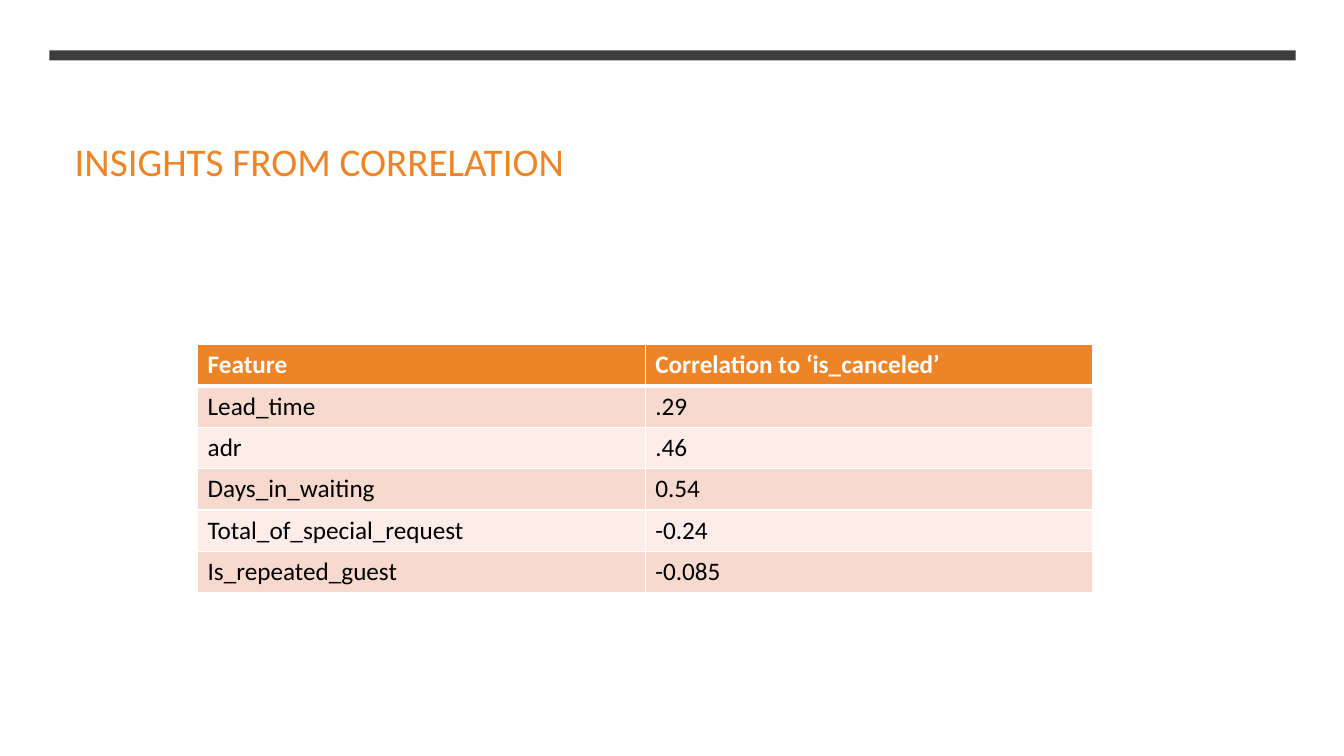
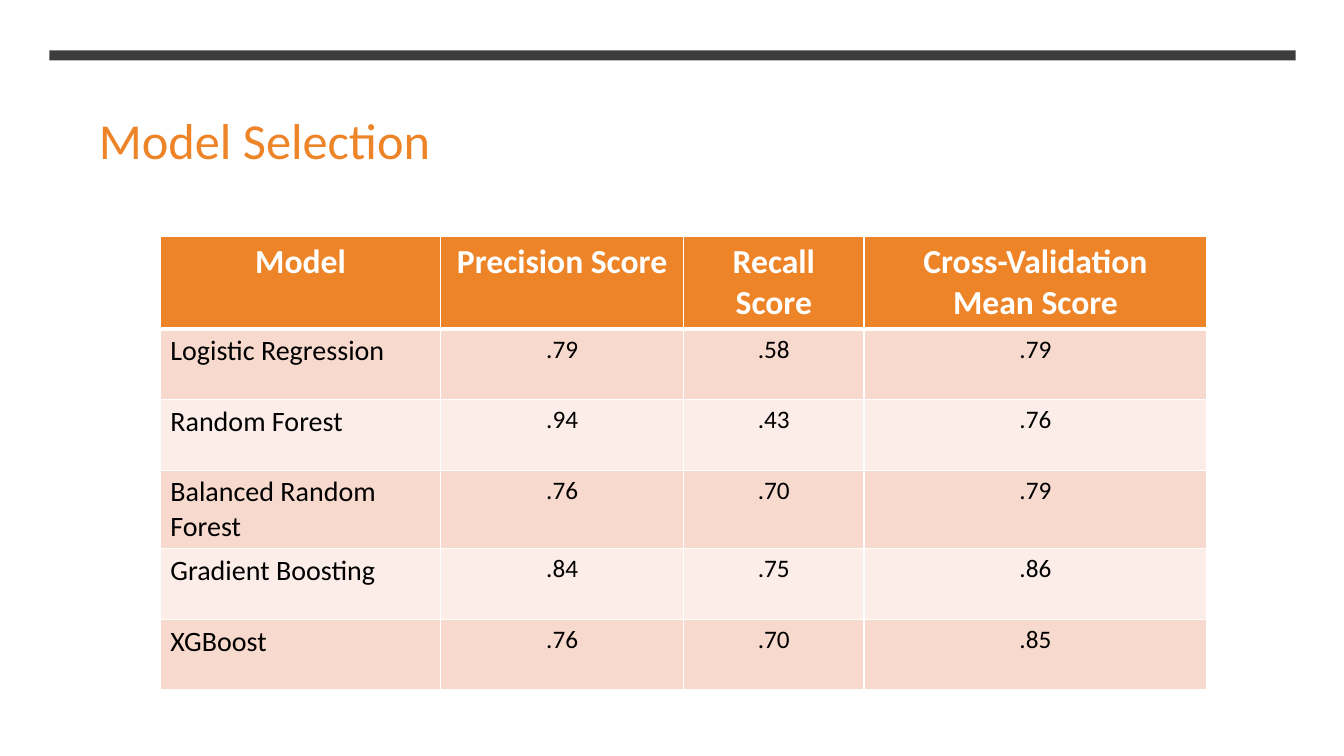
from dataclasses import dataclass

from lxml import etree
from pptx import Presentation
from pptx.dml.color import RGBColor
from pptx.enum.shapes import MSO_SHAPE
from pptx.enum.text import MSO_ANCHOR, MSO_AUTO_SIZE, PP_ALIGN
from pptx.oxml.ns import qn
from pptx.util import Emu, Pt

RECT = MSO_SHAPE.RECTANGLE
LEFT, CENTER = PP_ALIGN.LEFT, PP_ALIGN.CENTER
TOP, BOTTOM = MSO_ANCHOR.TOP, MSO_ANCHOR.BOTTOM
NO_AUTOFIT = MSO_AUTO_SIZE.NONE
TITLE_ONLY = 5
EMU_PER_PX = 9144


@dataclass(frozen=True)
class Theme:
    font: str = "Calibri"
    accent: str = "ED8428"
    band: str = "3D3D3D"
    white: str = "FFFFFF"
    text: str = "000000"
    stripes: tuple = ("F8D9CD", "FCEDE8")
    title: int = 28
    large_title: int = 36
    large_header: int = 24
    label: int = 20
    body: int = 18
    rule: int = 1
    header_rule: int = 3


THEME = Theme()

CORRELATIONS = [
    ("Feature", "Correlation to ‘is_canceled’"),
    ("Lead_time", ".29"),
    ("adr", ".46"),
    ("Days_in_waiting", "0.54"),
    ("Total_of_special_request", "-0.24"),
    ("Is_repeated_guest", "-0.085"),
]

MODEL_SCORES = [
    ("Model", "Precision Score", "Recall Score", "Cross-Validation\nMean Score"),
    ("Logistic Regression", ".79", ".58", ".79"),
    ("Random Forest", ".94", ".43", ".76"),
    ("Balanced Random Forest", ".76", ".70", ".79"),
    ("Gradient Boosting", ".84", ".75", ".86"),
    ("XGBoost", ".76", ".70", ".85"),
]


def px(n):
    return Emu(n * EMU_PER_PX)


def rgb(color):
    return RGBColor.from_string(color)


def style_text(tf, size, color, align=LEFT, bold=False):
    for p in tf.paragraphs:
        p.alignment = align
        p.font.name = THEME.font
        p.font.size = Pt(size)
        p.font.bold = bold
        p.font.color.rgb = rgb(color)


def add_band(s):
    sp = s.shapes.add_shape(RECT, px(49), px(50), px(1236), px(10))
    sp.shadow.inherit = False
    sp.fill.solid()
    sp.fill.fore_color.rgb = rgb(THEME.band)
    sp.line.fill.background()


def add_title(s, text, box, size, anchor):
    sp = s.shapes.title
    sp.left, sp.top, sp.width, sp.height = map(px, box)
    tf = sp.text_frame
    tf.text = text
    tf.word_wrap = True
    tf.auto_size = NO_AUTOFIT
    tf.vertical_anchor = anchor
    style_text(tf, size, THEME.accent)


def add_slide(prs, title, box, size, anchor):
    s = prs.slides.add_slide(prs.slide_layouts[TITLE_ONLY])
    add_band(s)
    add_title(s, title, box, size, anchor)
    return s


def set_borders(cell, top, bottom):
    tc_pr = cell._tc.get_or_add_tcPr()
    widths = {"L": THEME.rule, "R": THEME.rule, "T": top, "B": bottom}
    for side, width in widths.items():
        ln = etree.SubElement(tc_pr, qn(f"a:ln{side}"), w=str(Pt(width)))
        fill = etree.SubElement(ln, qn("a:solidFill"))
        etree.SubElement(fill, qn("a:srgbClr"), val=THEME.white)


def add_table(s, rows, left, top, col_widths, row_heights,
              header_size=THEME.body, label_size=THEME.body, value_align=LEFT):
    frame = s.shapes.add_table(len(rows), len(col_widths), px(left), px(top),
                               px(sum(col_widths)), px(sum(row_heights)))
    table = frame.table
    table.horz_banding = False
    for col, width in zip(table.columns, col_widths):
        col.width = px(width)
    for row, height in zip(table.rows, row_heights):
        row.height = px(height)
    for i, values in enumerate(rows):
        header = i == 0
        for j, value in enumerate(values):
            cell = table.cell(i, j)
            set_borders(cell,
                        THEME.header_rule if i == 1 else THEME.rule,
                        THEME.header_rule if header else THEME.rule)
            cell.fill.solid()
            fill = THEME.accent if header else THEME.stripes[(i - 1) % 2]
            cell.fill.fore_color.rgb = rgb(fill)
            cell.text = value
            if header:
                style_text(cell.text_frame, header_size, THEME.white, value_align, True)
            elif j == 0:
                style_text(cell.text_frame, label_size, THEME.text)
            else:
                style_text(cell.text_frame, THEME.body, THEME.text, value_align)


def main():
    prs = Presentation()
    prs.slide_width, prs.slide_height = px(1333), px(750)

    s = add_slide(prs, "INSIGHTS FROM CORRELATION", (64, 77, 1206, 111),
                  THEME.title, BOTTOM)
    add_table(s, CORRELATIONS, 196, 342, [444] * 2, [41] * len(CORRELATIONS))

    s = add_slide(prs, "Model Selection", (88, 103, 1020, 71),
                  THEME.large_title, TOP)
    add_table(s, MODEL_SCORES, 159, 235, [278, 241, 179, 340],
              [58] + [70] * (len(MODEL_SCORES) - 1),
              THEME.large_header, THEME.label, CENTER)

    prs.save("out.pptx")


if __name__ == "__main__":
    main()
